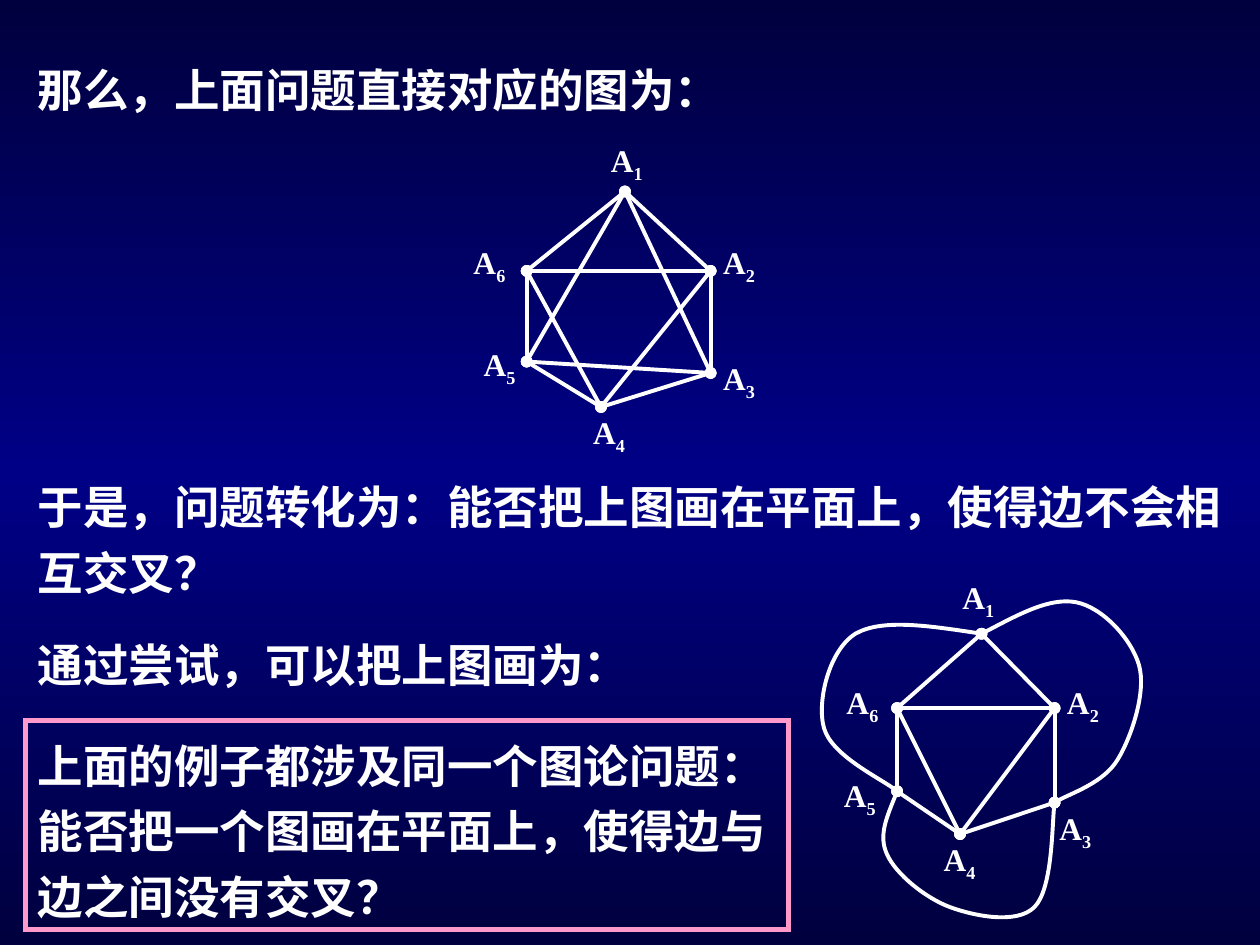
from copy import deepcopy
from itertools import combinations

from lxml.etree import SubElement
from pptx import Presentation
from pptx.dml.color import RGBColor
from pptx.enum.shapes import MSO_CONNECTOR, MSO_SHAPE
from pptx.enum.text import MSO_ANCHOR, MSO_AUTO_SIZE, PP_ALIGN
from pptx.oxml.ns import qn
from pptx.util import Inches, Pt

WHITE = RGBColor(0xFF, 0xFF, 0xFF)
PINK = RGBColor(0xFF, 0x99, 0xCC)
DARK = RGBColor(0x00, 0x00, 0x3E)
BLUE = RGBColor(0x00, 0x00, 0x86)
FONT = "Times New Roman"

CROSSED = {
    "box": (3.66, 1.07),
    "nodes": {1: (1.3, 0.45), 2: (1.98, 1.08), 3: (1.98, 1.89),
              4: (1.11, 2.16), 5: (0.52, 1.8), 6: (0.52, 1.08)},
    "tags": {1: (1.09, 0), 2: (1.98, 0.81), 3: (1.98, 1.73),
             4: (0.95, 2.16), 5: (0.08, 1.62), 6: (0, 0.81)},
    "bends": {},
}
PLANAR = {
    "box": (6.48, 4.54),
    "nodes": {1: (1.31, 0.49), 2: (1.89, 1.08), 3: (1.89, 1.83),
              4: (1.14, 2.08), 5: (0.64, 1.74), 6: (0.64, 1.08)},
    "tags": {1: (1.06, 0), 2: (1.89, 0.83), 3: (1.83, 1.83),
             4: (0.91, 2.08), 5: (0.12, 1.57), 6: (0.14, 0.83)},
    "bends": {
        (1, 5): [(0.91, 0.43), (0.52, 0.37), (0.31, 0.49),
                 (0.1, 0.62), (0, 1.03), (0.06, 1.24),
                 (0.12, 1.45), (0.55, 1.66)],
        (1, 3): [(1.58, 0.35), (1.85, 0.2), (2.06, 0.24),
                 (2.27, 0.28), (2.5, 0.53), (2.56, 0.74),
                 (2.62, 0.95), (2.5, 1.31), (2.39, 1.49),
                 (2.28, 1.67), (1.98, 1.77)],
        (3, 5): [(1.87, 1.97), (1.87, 2.52), (1.73, 2.66),
                 (1.59, 2.8), (1.25, 2.73), (1.06, 2.66),
                 (0.87, 2.59), (0.63, 2.4), (0.56, 2.24),
                 (0.49, 2.09), (0.57, 1.92)],
    },
}


def set_back(slide):
    fill = slide.background.fill
    fill.gradient()
    fill.gradient_angle = 90
    stops = slide.element.find(".//" + qn("a:gsLst"))
    stops.append(deepcopy(stops[0]))
    for stop, place, color in zip(fill.gradient_stops, (0, 0.5, 1), (DARK, BLUE, DARK)):
        stop.position = place
        stop.color.rgb = color


def style(para, size):
    para.alignment = PP_ALIGN.LEFT
    font = para.font
    font.name, font.size, font.bold = FONT, Pt(size), True
    font.color.rgb = WHITE


def add_text(slide, box, text, space=None, edge=None):
    if edge:
        shape = slide.shapes.add_shape(MSO_SHAPE.RECTANGLE, *map(Inches, box))
        shape.shadow.inherit = False
        shape.fill.background()
        shape.line.color.rgb = edge
        shape.line.width = Pt(3)
        SubElement(shape.element.spPr.find(qn("a:ln")), qn("a:miter"), lim="800000")
    else:
        shape = slide.shapes.add_textbox(*map(Inches, box))
    frame = shape.text_frame
    frame.word_wrap = True
    frame.auto_size = MSO_AUTO_SIZE.SHAPE_TO_FIT_TEXT
    frame.vertical_anchor = MSO_ANCHOR.TOP
    para = frame.paragraphs[0]
    para.text = text
    para.line_spacing = space
    style(para, 26)


def add_tag(shapes, left, top, num):
    box = shapes.add_textbox(left, top, Inches(0.6), Inches(0.44))
    box.text_frame.word_wrap = True
    para = box.text_frame.paragraphs[0]
    para.add_run().text = "A"
    sub = para.add_run()
    sub.text = str(num)
    sub.font._element.set("baseline", "-25000")
    style(para, 18)


def add_curve(shapes, knots):
    form = shapes.build_freeform(*knots[0])
    form.add_line_segments(knots[1:], close=False)
    curve = form.convert_to_shape()
    curve.fill.background()
    route = curve.element.find(".//" + qn("a:path"))
    legs = route.findall(qn("a:lnTo"))
    for i in range(0, len(legs), 3):
        cubic = SubElement(route, qn("a:cubicBezTo"))
        for leg in legs[i:i + 3]:
            cubic.append(leg[0])
            route.remove(leg)
    return curve


def finish(edge):
    edge.line.color.rgb = WHITE
    edge.line.width = Pt(2.25)
    props = edge.element.spPr
    line = props.find(qn("a:ln"))
    for end in ("a:headEnd", "a:tailEnd"):
        SubElement(line, qn(end), type="oval")
    SubElement(props, qn("a:effectLst"))


def add_graph(slide, box, nodes, tags, bends):
    shapes = slide.shapes.add_group_shape().shapes

    def place(spot):
        return tuple(Inches(a + b) for a, b in zip(box, spot))

    for a, b in combinations(nodes, 2):
        if b - a == 3:
            continue
        start, end = place(nodes[a]), place(nodes[b])
        if (a, b) in bends:
            edge = add_curve(shapes, [start, *map(place, bends[a, b]), end])
        else:
            edge = shapes.add_connector(MSO_CONNECTOR.STRAIGHT, *start, *end)
        finish(edge)
    for num, spot in tags.items():
        add_tag(shapes, *place(spot), num)


def main():
    deck = Presentation()
    deck.slide_width, deck.slide_height = Inches(10), Inches(7.5)
    slide = deck.slides.add_slide(deck.slide_layouts[6])
    set_back(slide)
    add_text(slide, (0.2, 0.44, 5.83, 0.54), "那么，上面问题直接对应的图为：")
    add_graph(slide, **CROSSED)
    add_text(slide, (0.2, 3.67, 9.61, 1.14),
             "于是，问题转化为：能否把上图画在平面上，使得边不会相互交叉？", 1.2)
    add_text(slide, (0.2, 5.01, 5.04, 0.54), "通过尝试，可以把上图画为：")
    add_graph(slide, **PLANAR)
    add_text(slide, (0.2, 5.72, 6.06, 1.66),
             "上面的例子都涉及同一个图论问题：能否把一个图画在平面上，使得边与边之间没有交叉？",
             1.2, PINK)
    deck.save("out.pptx")


if __name__ == "__main__":
    main()
